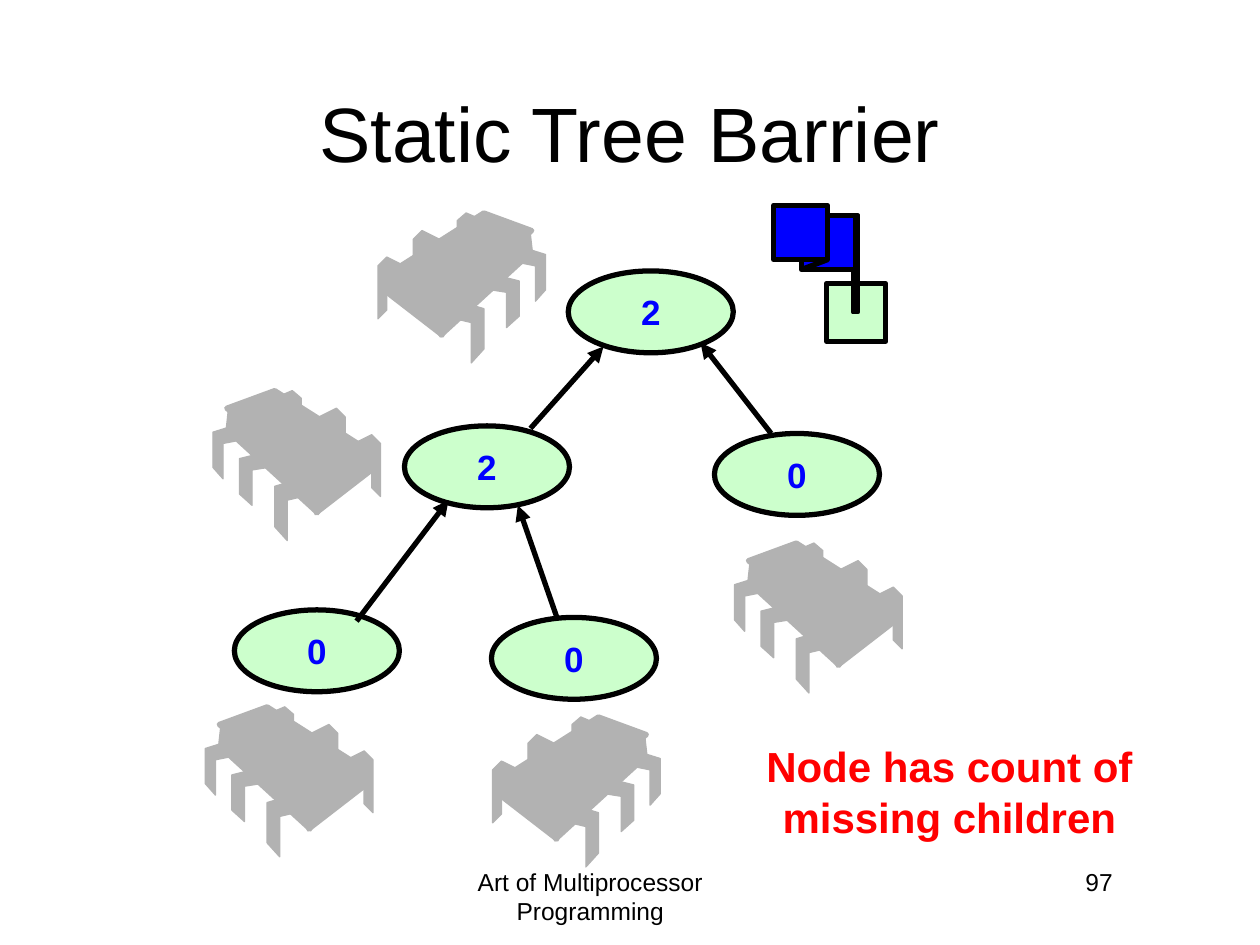
from lxml import etree
from pptx import Presentation
from pptx.dml.color import RGBColor
from pptx.enum.shapes import MSO_CONNECTOR, MSO_SHAPE
from pptx.enum.text import MSO_ANCHOR, PP_ALIGN
from pptx.oxml.ns import qn
from pptx.util import Inches, Pt

BLACK = RGBColor(0x00, 0x00, 0x00)
BLUE = RGBColor(0x00, 0x00, 0xFF)
RED = RGBColor(0xFF, 0x00, 0x00)
GREEN = RGBColor(0xCC, 0xFF, 0xCC)
GREY = RGBColor(0xB2, 0xB2, 0xB2)

NODE_W, NODE_H = 1.31, 0.65
NODES = [(4.51, 2.15, "2"), (1.86, 4.84, "0"), (3.21, 3.38, "2"),
         (3.9, 4.9, "0"), (5.67, 3.44, "0")]
ARROWS = [(4.21, 3.4, 4.79, 2.75), (2.83, 4.93, 3.56, 3.97),
          (4.42, 4.9, 4.11, 4.01), (6.12, 3.44, 5.56, 2.72)]

CHIP_W = 1.33
PIN = [(1.12, 0.42), (1.26, 0.35), (1.33, 0.42), (1.33, 0.84),
       (1.26, 0.77), (1.26, 0.49), (1.12, 0.56)]
CHIP_PARTS = [
    (0.75, PIN),
    (0.75, [(x - 0.28, y - 0.21) for x, y in PIN]),
    (0.75, [(0.49, 0.06), (0.63, 0), (0.7, 0.06), (0.7, 0.42),
            (0.63, 0.36), (0.63, 0.12), (0.49, 0.18)]),
    (3, [(0.49, 0), (1.26, 0.49), (0.83, 0.78), (0.11, 0.14)]),
    (3, [(0.14, 0.14), (0.84, 0.77), (0.83, 0.97), (0.12, 0.32)]),
    (3, [(1.26, 0.49), (1.26, 0.63), (0.82, 0.97), (0.84, 0.76)]),
    (0.75, [(0.69, 0.7), (0.84, 0.81), (0.59, 0.87), (0.59, 1.19),
            (0.49, 1.08), (0.49, 0.76)]),
    (0.75, [(0.41, 0.49), (0.56, 0.59), (0.31, 0.63), (0.31, 0.91),
            (0.21, 0.82), (0.21, 0.54)]),
    (0.75, [(0.16, 0.28), (0.28, 0.38), (0.08, 0.42), (0.08, 0.7),
            (0, 0.61), (0, 0.33)]),
]
CHIPS = [(1.63, 5.61, False), (3.91, 5.69, True), (3, 1.69, True),
         (5.83, 4.31, False), (1.69, 3.1, False)]


def paint(sp, fill, line, width):
    sp.shadow.inherit = False
    sp.fill.solid()
    sp.fill.fore_color.rgb = fill
    sp.line.color.rgb = line
    sp.line.width = Pt(width)


def write(sp, text, size, color, bold, align):
    sp.text_frame.text = text
    p = sp.text_frame.paragraphs[0]
    p.alignment = align
    f = p.runs[0].font
    f.name, f.size, f.bold = "Arial", Pt(size), bold
    f.color.rgb = color


prs = Presentation()
prs.slide_width, prs.slide_height = Inches(10), Inches(7.5)
slide = prs.slides.add_slide(prs.slide_layouts[5])
shapes = slide.shapes

title = shapes.title
title.left, title.top = Inches(0.75), Inches(0.42)
title.width, title.height = Inches(8.5), Inches(1.25)
title.text_frame.vertical_anchor = MSO_ANCHOR.MIDDLE
write(title, "Static Tree Barrier", 44, BLACK, False, PP_ALIGN.CENTER)

for x, y, count in NODES:
    node = shapes.add_shape(MSO_SHAPE.OVAL, Inches(x), Inches(y),
                            Inches(NODE_W), Inches(NODE_H))
    paint(node, GREEN, BLACK, 3)
    node.text_frame.word_wrap = False
    node.text_frame.vertical_anchor = MSO_ANCHOR.MIDDLE
    write(node, count, 20, BLUE, True, PP_ALIGN.CENTER)

flag = shapes.add_group_shape()
FLAG_PARTS = [(shapes, 6.56, 2.25, 0.47, 0.46, GREEN, 3),
              (flag.shapes, 6.77, 1.71, 0.04, 0.77, BLACK, 2.25),
              (flag.shapes, 6.36, 1.71, 0.43, 0.43, BLUE, 3),
              (flag.shapes, 6.14, 1.63, 0.43, 0.43, BLUE, 3)]
for parent, x, y, w, h, fill, width in FLAG_PARTS:
    sp = parent.add_shape(MSO_SHAPE.RECTANGLE, Inches(x), Inches(y), Inches(w), Inches(h))
    paint(sp, fill, BLACK, width)
shapes._spTree.append(flag._element)

LINES = [(shapes, ends, True) for ends in ARROWS]
LINES.append((flag.shapes, (6.36, 2.14, 6.57, 2.06), False))
for parent, ends, has_head in LINES:
    line = parent.add_connector(MSO_CONNECTOR.STRAIGHT, *[Inches(v) for v in ends])
    line.line.color.rgb = BLACK
    line.line.width = Pt(3)
    if has_head:
        etree.SubElement(line.line._get_or_add_ln(), qn("a:tailEnd"), type="triangle")
    etree.SubElement(line._element.spPr, qn("a:effectLst"))

for left, top, mirrored in CHIPS:
    chip = shapes.add_group_shape()
    for width, outline in CHIP_PARTS:
        pts = [(Inches(left + (CHIP_W - x if mirrored else x)), Inches(top + y))
               for x, y in outline]
        fb = chip.shapes.build_freeform(*pts[0])
        fb.add_line_segments(pts[1:], close=True)
        paint(fb.convert_to_shape(), GREY, GREY, width)

TEXTS = [
    (3.1, 6.83, 3.17, 0.5, "Art of Multiprocessor Programming", 14, BLACK, False, PP_ALIGN.CENTER),
    (6.85, 6.83, 2.08, 0.5, "97", 14, BLACK, False, PP_ALIGN.RIGHT),
    (5.81, 5.83, 3.45, 0.9, "Node has count of missing children", 24, RED, True, PP_ALIGN.CENTER),
]
for x, y, w, h, *content in TEXTS:
    tb = shapes.add_textbox(Inches(x), Inches(y), Inches(w), Inches(h))
    tb.text_frame.word_wrap = True
    write(tb, *content)

prs.save("out.pptx")
